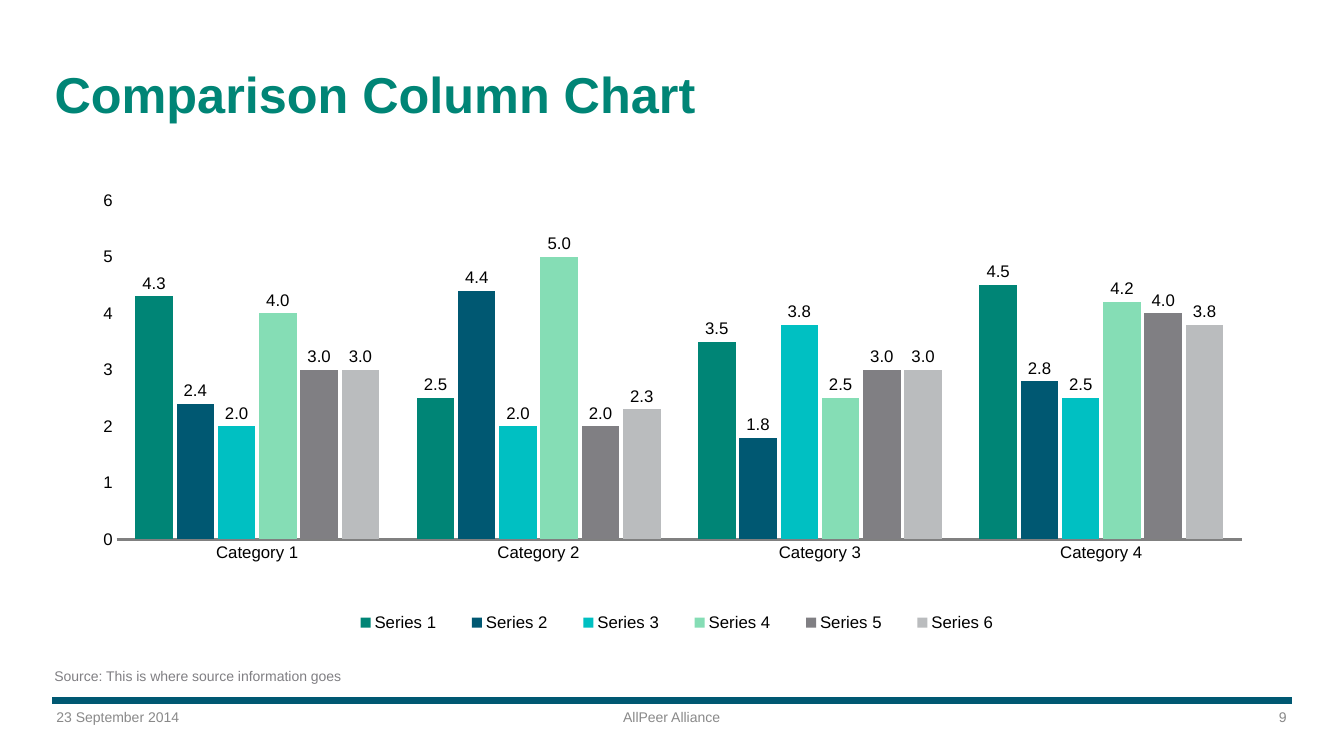
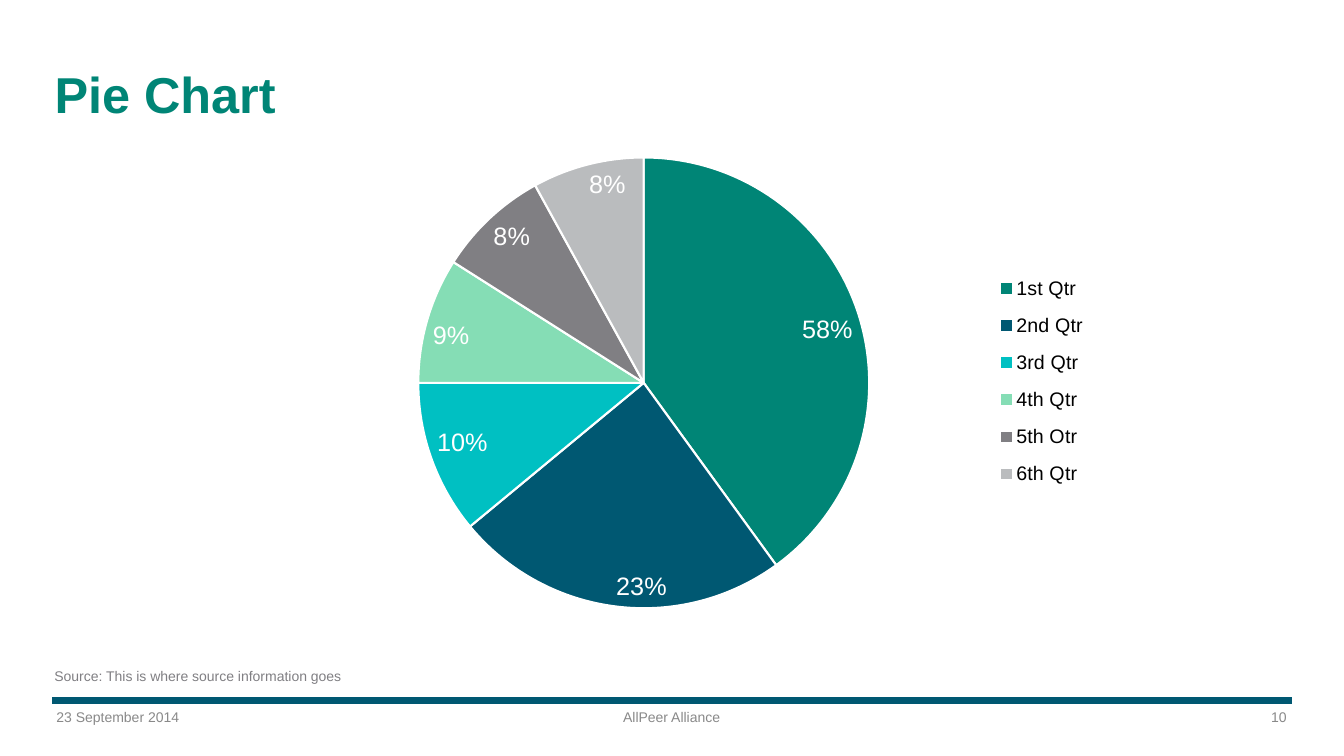
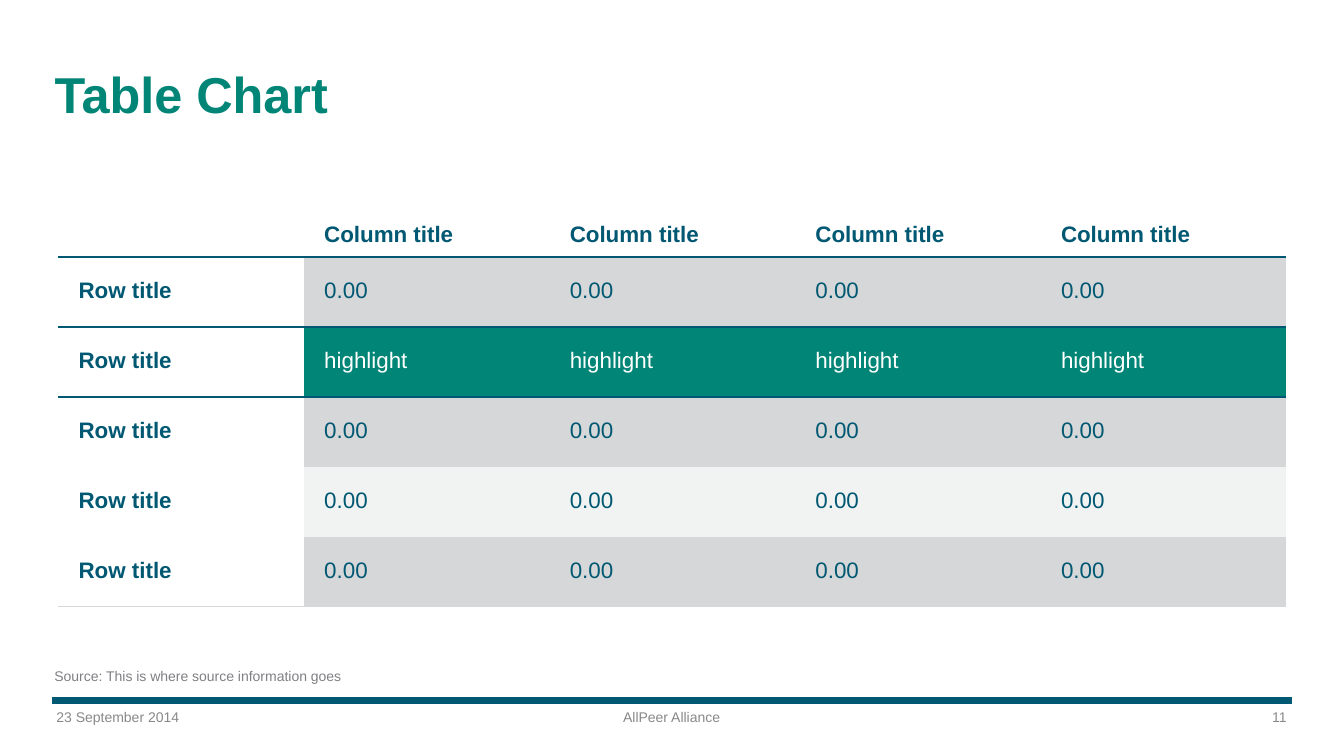
"""Build three data slides: a column chart, a pie chart and a table."""
import lxml.etree
import pptx
import pptx.chart.data
import pptx.dml.color
import pptx.enum.chart
import pptx.enum.shapes
import pptx.enum.text
import pptx.oxml
import pptx.oxml.ns
import pptx.util

RGB = pptx.dml.color.RGBColor
Pt = pptx.util.Pt
qn = pptx.oxml.ns.qn
ALIGN = pptx.enum.text.PP_ALIGN
ANCHOR = pptx.enum.text.MSO_ANCHOR
LEGEND = pptx.enum.chart.XL_LEGEND_POSITION
LABEL = pptx.enum.chart.XL_LABEL_POSITION
TICK = pptx.enum.chart.XL_TICK_MARK
TYPE = pptx.enum.chart.XL_CHART_TYPE

GREEN = RGB(0x00, 0x85, 0x76)
NAVY = RGB(0x00, 0x58, 0x72)
TURQUOISE = RGB(0x00, 0xC0, 0xC2)
MINT = RGB(0x85, 0xDD, 0xB5)
GREY = RGB(0x80, 0x7F, 0x83)
SILVER = RGB(0xBA, 0xBC, 0xBE)
FOOTER = RGB(0x89, 0x89, 0x89)
AXIS = RGB(0x80, 0x80, 0x80)
BAND = RGB(0xD6, 0xD7, 0xD8)
PALE = RGB(0xF1, 0xF2, 0xF2)
WHITE = RGB(0xFF, 0xFF, 0xFF)
BLACK = RGB(0x00, 0x00, 0x00)
PALETTE = [GREEN, NAVY, TURQUOISE, MINT, GREY, SILVER]


class Deck:
    """Holds the style and the current slide; lengths are percentages of the slide."""

    font = "Arial"
    first_number = 9

    def __init__(self):
        self.prs = pptx.Presentation()
        self.prs.slide_width = pptx.util.Inches(13.33)
        self.prs.slide_height = pptx.util.Inches(7.5)
        self.s = None

    def box(self, x, y, w, h):
        width, height = self.prs.slide_width, self.prs.slide_height
        return [int(size * share / 100)
                for size, share in ((width, x), (height, y), (width, w), (height, h))]

    def style(self, font, size, color, bold=False):
        font.name, font.size, font.bold = self.font, Pt(size), bold
        font.color.rgb = color

    def margins(self, holder, left, top, right, bottom):
        holder.margin_left, holder.margin_top = pptx.util.Inches(left), pptx.util.Inches(top)
        holder.margin_right, holder.margin_bottom = pptx.util.Inches(right), pptx.util.Inches(bottom)

    def slide(self, title):
        self.s = self.prs.slides.add_slide(self.prs.slide_layouts[5])
        self.title(title)
        self.rule()
        number = self.first_number + len(self.prs.slides) - 1
        notes = [("23 September 2014", ALIGN.LEFT), ("AllPeer Alliance", ALIGN.CENTER),
                 (str(number), ALIGN.RIGHT)]
        for i, (text, align) in enumerate(notes):
            self.text(text, (3.83 + 33.8 * i, 93.07, 24.68, 3.6), FOOTER,
                      (0.05, 0.05, 0.05, 0.05), align)
        self.text("Source: This is where source information goes",
                  (4.05, 87.33, 36.38, 4), GREY, (0, 0.07, 0.13, 0.07))

    def title(self, text):
        sp = self.s.shapes.title
        sp.left, sp.top, sp.width, sp.height = self.box(3.68, 2.53, 92.2, 14.67)
        tf = sp.text_frame
        tf.text = text
        tf.vertical_anchor = ANCHOR.BOTTOM
        tf.auto_size = pptx.enum.text.MSO_AUTO_SIZE.NONE
        self.margins(tf, 0.05, 0.05, 0.05, 0.05)
        p = tf.paragraphs[0]
        p.alignment, p.line_spacing = ALIGN.LEFT, 0.95
        self.style(p.font, 36, GREEN, True)

    def rule(self):
        left, y, width, _ = self.box(3.9, 92.67, 92.2, 0)
        line = self.s.shapes.add_connector(
            pptx.enum.shapes.MSO_CONNECTOR.STRAIGHT, left, y, left + width, y)
        line.line.color.rgb, line.line.width = NAVY, Pt(5.5)
        lxml.etree.SubElement(line._element.spPr, qn("a:effectLst"))

    def text(self, text, area, color, margins, align=ALIGN.LEFT):
        tf = self.s.shapes.add_textbox(*self.box(*area)).text_frame
        tf.text, tf.word_wrap = text, True
        self.margins(tf, *margins)
        p = tf.paragraphs[0]
        p.alignment = align
        self.style(p.font, 10, color)

    def place(self, parent, index, shares, inner=False):
        for old in parent.findall(qn("c:layout")):
            parent.remove(old)
        layout = lxml.etree.Element(qn("c:layout"))
        manual = lxml.etree.SubElement(layout, qn("c:manualLayout"))
        values = [("layoutTarget", "inner")] if inner else []
        values += [("xMode", "edge"), ("yMode", "edge")]
        values += [(key, str(share / 100)) for key, share in zip("xywh", shares)]
        for key, value in values:
            lxml.etree.SubElement(manual, qn("c:" + key)).set("val", value)
        parent.insert(index, layout)

    def chart(self, kind, area, cats, series, size, plot_area, legend, legend_area, legend_size):
        data = pptx.chart.data.CategoryChartData()
        data.categories = cats
        for i, values in enumerate(series, 1):
            data.add_series(f"Series {i}", values)
        chart = self.s.shapes.add_chart(kind, *self.box(*area), data).chart
        chart.has_title = False
        self.style(chart.font, size, BLACK)
        chart.has_legend = True
        chart.legend.position = legend
        chart.legend.include_in_layout = False
        self.style(chart.legend.font, legend_size, BLACK)
        self.place(chart._chartSpace.chart.plotArea, 0, plot_area, True)
        self.place(chart.legend._element, 1, legend_area)
        return chart

    def labels(self, labels, fmt, position, size, color):
        labels.number_format, labels.number_format_is_linked = fmt, False
        labels.position = position
        self.style(labels.font, size, color)

    def columns(self, cats, series):
        chart = self.chart(TYPE.COLUMN_CLUSTERED, (5.03, 24, 88.9, 60.8), cats, series, 12,
                           (4.1, 4.1, 94.2, 73.8), LEGEND.BOTTOM, (22, 92.5, 58, 7), 12)
        plot = chart.plots[0]
        plot.gap_width, plot.overlap, plot.vary_by_categories = 100, -10, False
        for ser, color in zip(plot.series, PALETTE):
            ser.format.fill.solid()
            ser.format.fill.fore_color.rgb = color
        plot.has_data_labels = True
        plot.data_labels.show_value = True
        self.labels(plot.data_labels, "#,##0.0", LABEL.OUTSIDE_END, 12, BLACK)
        for axis in (chart.category_axis, chart.value_axis):
            axis.major_tick_mark = axis.minor_tick_mark = TICK.NONE
            axis.has_major_gridlines = False
        line = chart.category_axis.format.line
        line.color.rgb, line.width = AXIS, Pt(1.75)
        axis = chart.value_axis
        axis.format.line.fill.background()
        axis.minimum_scale, axis.maximum_scale, axis.major_unit = 0, 6, 1
        axis.tick_labels.number_format = "0"
        axis.tick_labels.number_format_is_linked = False

    def pie(self, cats, values, captions):
        chart = self.chart(TYPE.PIE, (11.63, 17.33, 72.47, 74.13), cats, [values], 18,
                           (26.9, 4.7, 46.3, 80.5), LEGEND.RIGHT, (85.4, 23.4, 11, 42.5), 14)
        ser = chart.plots[0].series[0]
        labels = ser.data_labels
        labels.show_percentage, labels.show_value = True, False
        self.labels(labels, "0%", LABEL.INSIDE_END, 18, WHITE)
        for i, color in enumerate(PALETTE):
            fmt = ser.points[i].format
            fmt.fill.solid()
            fmt.fill.fore_color.rgb = color
            fmt.line.color.rgb, fmt.line.width = WHITE, Pt(1.5)
        for i, caption in enumerate(captions):
            label = ser.points[i].data_label
            label.text_frame.text = caption
            self.style(label.text_frame.paragraphs[0].runs[0].font, 18, WHITE)
            label.position = LABEL.INSIDE_END

    def border(self, cell, side, color, width):
        line = lxml.etree.Element(qn("a:ln" + side), w=str(Pt(width)))
        fill = lxml.etree.SubElement(line, qn("a:solidFill"))
        lxml.etree.SubElement(fill, qn("a:srgbClr"), val=str(color))
        cell._tc.get_or_add_tcPr().insert(0, line)

    def cell(self, cell, text, fill, color, bold, header):
        cell.text = text
        self.margins(cell, 0.2, 0.1, 0.2, 0.1)
        cell.vertical_anchor = ANCHOR.BOTTOM if header else ANCHOR.MIDDLE
        p = cell.text_frame.paragraphs[0]
        p.line_spacing = 0.95 if header else 0.9
        p.space_after = Pt(0 if header else 3)
        self.style(p.font, 16, color, bold)
        if fill is None:
            cell.fill.background()
        else:
            cell.fill.solid()
            cell.fill.fore_color.rgb = fill

    def table(self, rows, fills):
        count = len(rows)
        frame = self.s.shapes.add_table(count, len(rows[0]), *self.box(4.35, 27.2, 91.37, 53.05))
        table = frame.table
        table.first_row = table.horz_banding = False
        table._tbl.tblPr.find(qn("a:tableStyleId")).text = "{2D5ABB26-0587-4C30-8999-92F81FD0307C}"
        bottoms = {0: (NAVY, 2.25), 1: (NAVY, 2.25), count - 1: (BAND, 1)}
        for i, (row, fill) in enumerate(zip(rows, fills)):
            table.rows[i].height = self.box(0, 0, 0, 9.25 if i else 6.8)[3]
            for j, text in enumerate(row):
                cell = table.cell(i, j)
                color = WHITE if j and fill == GREEN else NAVY
                self.cell(cell, text, fill if j else None, color, not (i and j), i == 0)
                if i in bottoms:
                    self.border(cell, "B", *bottoms[i])
                if i - 1 in bottoms:
                    self.border(cell, "T", *bottoms[i - 1])


def main():
    deck = Deck()

    deck.slide("Comparison Column Chart")
    deck.columns([f"Category {i}" for i in range(1, 5)],
                 [(4.3, 2.5, 3.5, 4.5), (2.4, 4.4, 1.8, 2.8), (2, 2, 3.8, 2.5),
                  (4, 5, 2.5, 4.2), (3, 2, 3, 4), (3, 2.3, 3, 3.8)])

    deck.slide("Pie Chart")
    deck.pie(["1st Qtr", "2nd Qtr", "3rd Qtr", "4th Qtr", "5th Otr", "6th Qtr"],
             (40, 24, 11, 9, 8, 8), ["58%", "23%", "10%", "9%"])

    deck.slide("Table Chart")
    fills = [None, BAND, GREEN, BAND, PALE, BAND]
    rows = [[""] + ["Column title"] * 4]
    rows += [["Row title"] + ["highlight" if fill == GREEN else "0.00"] * 4 for fill in fills[1:]]
    deck.table(rows, fills)

    deck.prs.save("out.pptx")


if __name__ == "__main__":
    main()
